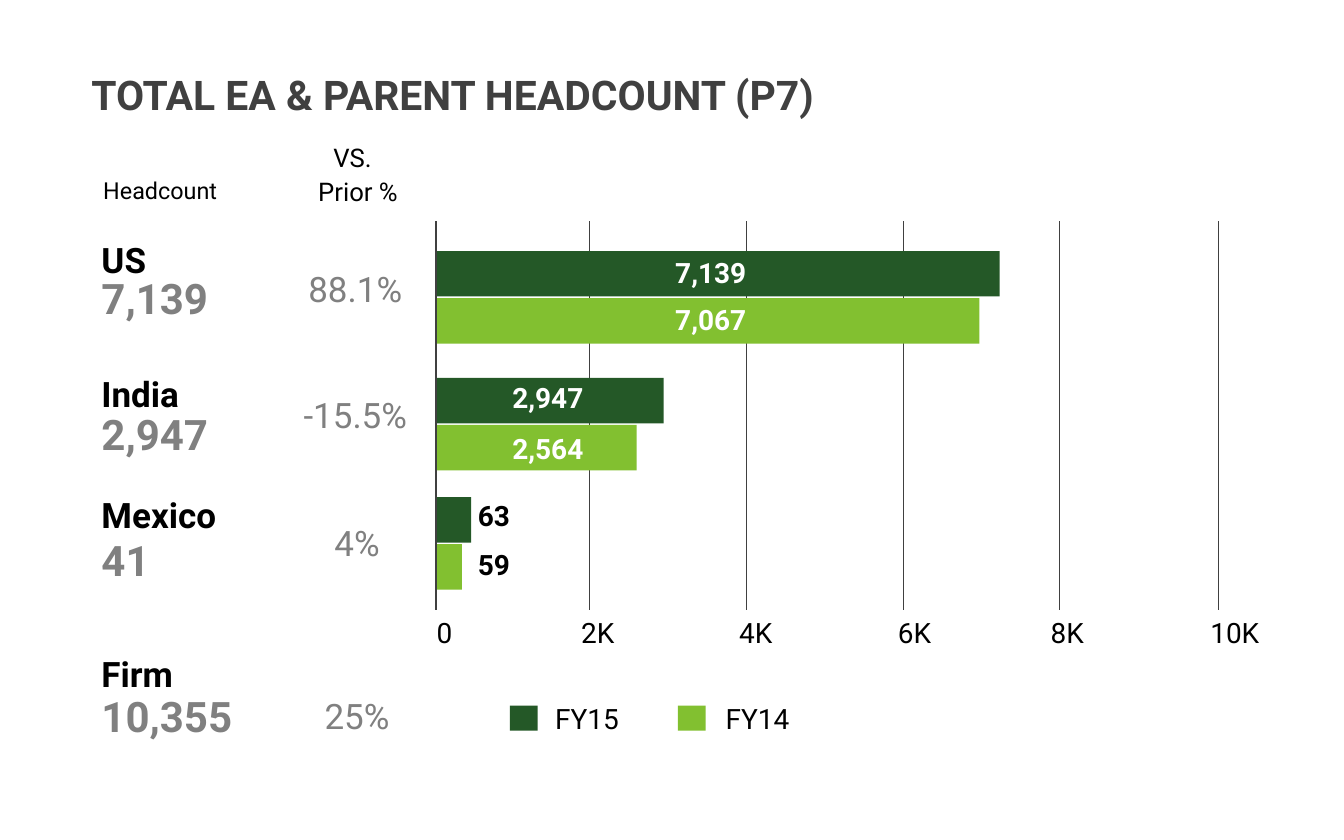
from pptx import Presentation
from pptx.dml.color import RGBColor
from pptx.enum.shapes import MSO_CONNECTOR, MSO_SHAPE
from pptx.enum.text import MSO_AUTO_SIZE, PP_ALIGN
from pptx.oxml.ns import qn
from pptx.util import Pt
from lxml import etree

RECT, STRAIGHT = MSO_SHAPE.RECTANGLE, MSO_CONNECTOR.STRAIGHT
LEFT, CENTER = PP_ALIGN.LEFT, PP_ALIGN.CENTER
GROW = MSO_AUTO_SIZE.SHAPE_TO_FIT_TEXT

BLACK = RGBColor(0x00, 0x00, 0x00)
WHITE = RGBColor(0xFF, 0xFF, 0xFF)
CHARCOAL = RGBColor(0x40, 0x40, 0x40)
GRAY = RGBColor(0x80, 0x80, 0x80)
DARK_GREEN = RGBColor(0x24, 0x58, 0x27)
LIGHT_GREEN = RGBColor(0x82, 0xC0, 0x30)

# Content: headings as text, left, top, width, height, style
HEADINGS = [
    ("TOTAL EA & PARENT HEADCOUNT (P7)", 71.3, 56.2, 898.6, 74.2, "title"),
    ("Headcount", 81.4, 147.6, 195.1, 31.7, "column"),
    ("VS.", 278.6, 118.1, 69.8, 33.8, "versus"),
    ("Prior %", 265.7, 146.9, 94.3, 33.8, "versus"),
]
# Region, name top, headcount, headcount top, change, change left, change top
REGIONS = [
    ("US", 200.9, "7,139", 230.4, "88.1%", 245.5, 225.4),
    ("India", 316.1, "2,947", 346.3, "-15.5%", 245.5, 334.1),
    ("Mexico", 419.8, "41", 455, "4%", 247, 443.5),
    ("Firm", 555.8, "10,355", 588.2, "25%", 247, 591.8),
]
# Top of the pair, label left, label style, (value, bar width, label top) per year
BAR_PAIRS = [
    (215.3, 571.7, "inside",
     [("7,139", 483.1, 215.3), ("7,067", 465.8, 255.6)]),
    (324, 432, "inside",
     [("2,947", 195.1, 322.6), ("2,564", 172.1, 366.5)]),
    (426.2, 402.5, "outside",
     [("63", 30.2, 423.4), ("59", 22.3, 465.8)]),
]
# Label, gridline x, label left
TICKS = [("0", 373.7, 367.2), ("2K", 505.4, 491), ("4K", 640.1, 626.4),
         ("6K", 774.7, 762.5), ("8K", 907.9, 893.5), ("10K", 1044.7, 1030.3)]
# Year, colour, swatch left, label left
YEARS = [("FY15", DARK_GREEN, 437, 468.7), ("FY14", LIGHT_GREEN, 581, 614.9)]

# Size, bold, colour, alignment
STYLES = {
    "title": (35, True, CHARCOAL, LEFT),
    "column": (20, False, BLACK, LEFT),
    "versus": (22, False, BLACK, LEFT),
    "region": (30, True, BLACK, LEFT),
    "headcount": (36, True, GRAY, LEFT),
    "change": (30, False, GRAY, CENTER),
    "axis": (24, False, BLACK, LEFT),
    "inside": (24, True, WHITE, LEFT),
    "outside": (24, True, BLACK, LEFT),
}

GRID_TOP, GRID_BOTTOM = 189.4, 522.7
AXIS_X = TICKS[0][1]
BAR_H, BAR_STEP = 38.9, 40.3
REGION_X, LABEL_H = 79.9, 36

prs = Presentation()
prs.slide_width, prs.slide_height = Pt(1152), Pt(720)
s = prs.slides.add_slide(prs.slide_layouts[6])


def add_text(text, x, y, w, h, style):
    size, bold, color, align = STYLES[style]
    tf = s.shapes.add_textbox(Pt(x), Pt(y), Pt(w), Pt(h)).text_frame
    tf.word_wrap, tf.auto_size = True, GROW
    p = tf.paragraphs[0]
    p.alignment = align
    r = p.add_run()
    r.text = text
    font_format = {"name": "Roboto", "size": Pt(size), "bold": bold}
    for key, value in font_format.items():
        setattr(r.font, key, value)
    r.font.color.rgb = color


def add_block(x, y, w, h, color):
    sp = s.shapes.add_shape(RECT, Pt(x), Pt(y), Pt(w), Pt(h))
    sp.shadow.inherit = False
    sp.fill.solid()
    sp.fill.fore_color.rgb = color
    sp.line.fill.background()


def add_gridline(x):
    line = s.shapes.add_connector(
        STRAIGHT, Pt(x), Pt(GRID_BOTTOM), Pt(x), Pt(GRID_TOP))
    line.line.color.rgb = CHARCOAL
    line.line.width = Pt(1)
    etree.SubElement(line._element.spPr, qn("a:effectLst"))


# Gridlines behind the bars, zero axis in front
for _, x, _ in TICKS[1:]:
    add_gridline(x)
for top, _, _, bars in BAR_PAIRS:
    for i, (_, width, _) in enumerate(bars):
        add_block(AXIS_X, top + i * BAR_STEP, width, BAR_H, YEARS[i][1])
add_gridline(AXIS_X)

# Headings and region figures
for heading in HEADINGS:
    add_text(*heading)
for name, name_y, count, count_y, change, change_x, change_y in REGIONS:
    add_text(name, REGION_X, name_y, 195.1, 43.9, "region")
    add_text(count, REGION_X, count_y, 145.4, 51.1, "headcount")
    add_text(change, change_x, change_y, 118.1, 43.9, "change")

# Axis and bar labels
for label, _, x in TICKS:
    add_text(label, x, 524.2, 70.6, LABEL_H, "axis")
for _, x, style, bars in BAR_PAIRS:
    for value, _, y in bars:
        add_text(value, x, y, 116.6, LABEL_H, style)

# Legend
for year, color, swatch_x, label_x in YEARS:
    add_block(swatch_x, 604.8, 23.8, 21.6, color)
    add_text(year, label_x, 597.6, 87.8, LABEL_H, "axis")

prs.save("out.pptx")
